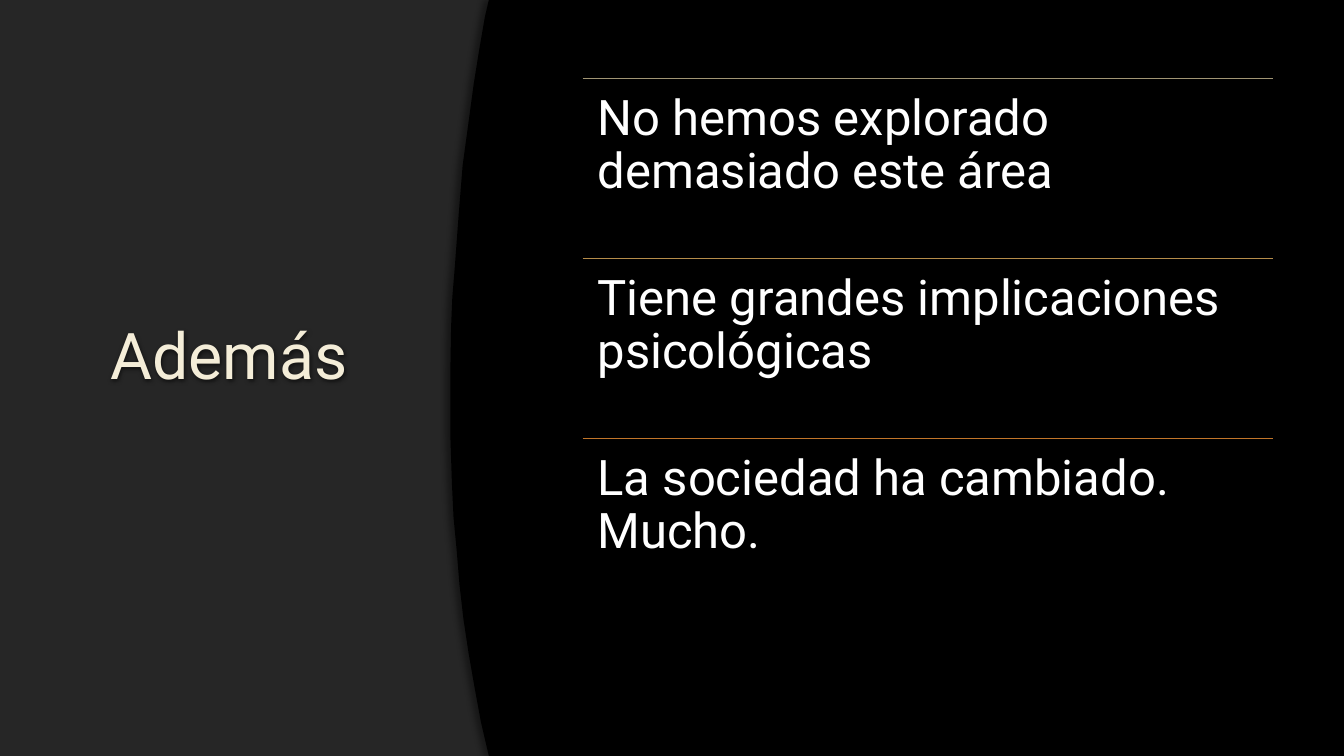
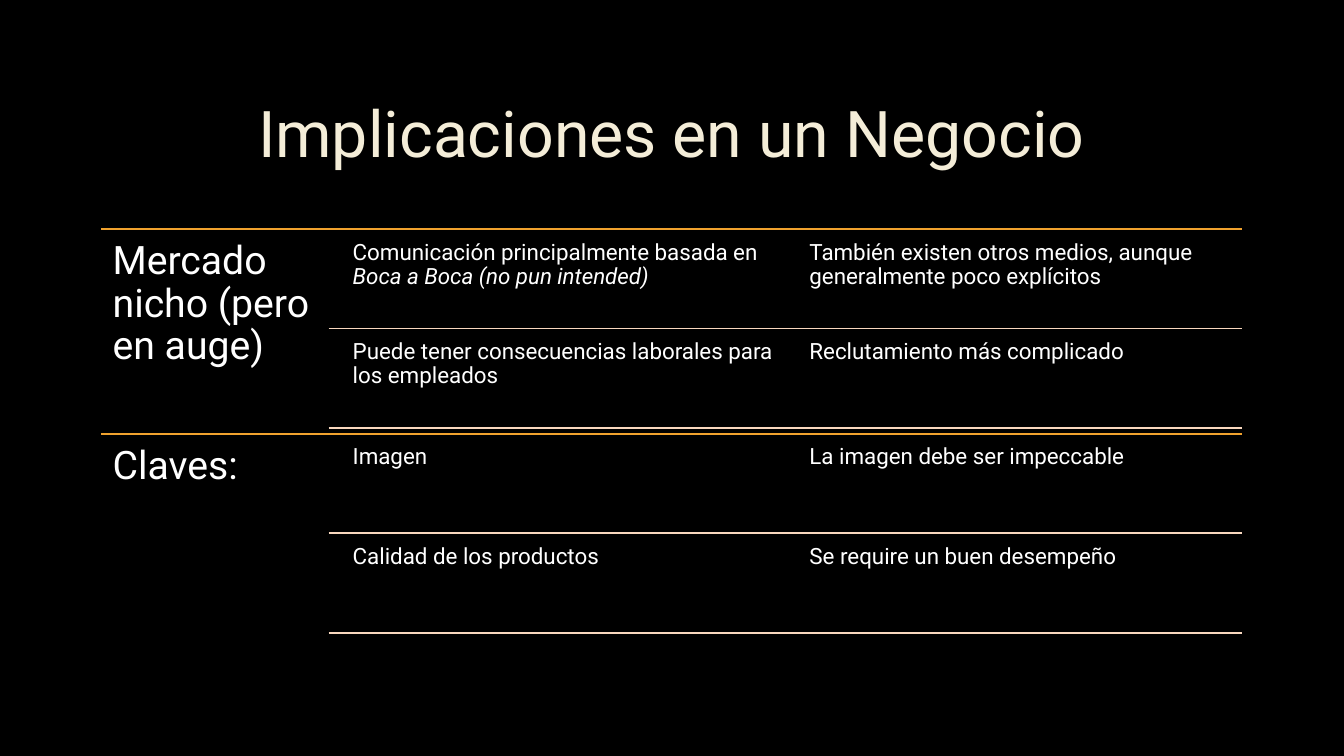
from dataclasses import dataclass

from lxml import etree
from pptx import Presentation, util as u
from pptx.dml.color import RGBColor
from pptx.enum import shapes, text
from pptx.oxml import ns

FONT = "Roboto"
COLORS = {
    "black": "000000",
    "panel": "262626",
    "title": "F4EDD8",
    "white": "FFFFFF",
    "orange": "F0A22E",
    "peach": "F8D7BE",
}
PAGE_WIDTH, PAGE_HEIGHT = 33.87, 19.05
MARGIN = 2.54


@dataclass
class Point:
    text: str
    rule_color: str


@dataclass
class Topic:
    heading: str
    rows: list


POINTS = [
    Point("No hemos explorado demasiado este área", "A19574"),
    Point("Tiene grandes implicaciones psicológicas", "B58C4A"),
    Point("La sociedad ha cambiado. Mucho.", "C17529"),
]

# Text between asterisks is set in italics
TOPICS = [
    Topic("Mercado nicho (pero en auge)", [
        ("Comunicación principalmente basada en *Boca a Boca (no pun intended)*",
         "También existen otros medios, aunque generalmente poco explícitos"),
        ("Puede tener consecuencias laborales para los empleados",
         "Reclutamiento más complicado"),
    ]),
    Topic("Claves:", [
        ("Imagen", "La imagen debe ser impeccable"),
        ("Calidad de los productos", "Se require un buen desempeño"),
    ]),
]

# Curved left edge of the dark area, from top to bottom
CURVE = [
    (12.32, 0), (12.22, 0.43), (12.07, 1.3), (11.94, 2.11), (11.81, 3.07),
    (11.66, 4.17), (11.56, 5.41), (11.46, 6.76), (11.4, 7.49), (11.37, 8.23),
    (11.35, 9.37), (11.35, 10.97), (11.39, 12.19), (11.43, 13.03),
    (11.51, 13.87), (11.58, 14.73), (11.68, 15.6), (11.81, 16.46),
    (11.96, 17.32), (12.12, 18.19), (12.32, PAGE_HEIGHT),
]


# Shared drawing functions
def rgb(value: str) -> RGBColor:
    return RGBColor.from_string(value)


def add_effects(shape):
    """Add an empty effect list, which also removes inherited shadows."""
    return etree.SubElement(shape._element.spPr, ns.qn("a:effectLst"))


def add_shadow(shape, *, blur: float, distance: float, angle: int, alpha: int) -> None:
    shadow = etree.SubElement(
        add_effects(shape), ns.qn("a:outerShdw"),
        blurRad=str(u.Pt(blur)), dist=str(u.Pt(distance)),
        dir=str(angle * 60000), algn="ctr", rotWithShape="0")
    color = etree.SubElement(shadow, ns.qn("a:srgbClr"), val=COLORS["black"])
    etree.SubElement(color, ns.qn("a:alpha"), val=str(alpha * 1000))


def fill_plain(shape, color: str) -> None:
    shape.fill.solid()
    shape.fill.fore_color.rgb = rgb(color)
    shape.line.fill.background()


def add_text(page, content: str, left: float, top: float, width: float, height: float, *,
             size: float, color: str = COLORS["white"], inset: float = 0.25,
             inset_y: float | None = None, align=text.PP_ALIGN.LEFT,
             anchor=text.MSO_ANCHOR.TOP):
    box = page.shapes.add_textbox(u.Cm(left), u.Cm(top), u.Cm(width), u.Cm(height))
    frame = box.text_frame
    frame.word_wrap = True
    frame.vertical_anchor = anchor
    frame.margin_left = frame.margin_right = u.Cm(inset)
    frame.margin_top = frame.margin_bottom = u.Cm(inset if inset_y is None else inset_y)
    para = frame.paragraphs[0]
    para.alignment = align
    para.line_spacing = 0.9
    for index, part in enumerate(content.split("*")):
        if part:
            span = para.add_run()
            span.text = part
            span.font.name = FONT
            span.font.size = u.Pt(size)
            span.font.color.rgb = rgb(color)
            if index % 2:
                span.font.italic = True
    return box


def add_title(page, content: str, width: float, height: float, align) -> None:
    title = add_text(page, content, MARGIN, 1.7, width, height, size=46,
                     color=COLORS["title"], inset_y=0.13, align=align,
                     anchor=text.MSO_ANCHOR.MIDDLE)
    add_shadow(title, blur=3, distance=1, angle=90, alpha=60)


def add_rule(page, left: float, top: float, width: float, color: str, weight: float) -> None:
    rule = page.shapes.add_connector(
        shapes.MSO_CONNECTOR.STRAIGHT,
        u.Cm(left), u.Cm(top), u.Cm(left + width), u.Cm(top))
    rule.line.color.rgb = rgb(color)
    rule.line.width = u.Pt(weight)
    add_effects(rule)


def add_page(deck):
    page = deck.slides.add_slide(deck.slide_layouts[6])
    page.background.fill.solid()
    page.background.fill.fore_color.rgb = rgb(COLORS["black"])
    return page


# Slide 1: title panel and ruled list
def build_points(deck) -> None:
    page = add_page(deck)
    panel = page.shapes.add_shape(
        shapes.MSO_SHAPE.RECTANGLE, 0, 0, u.Cm(PAGE_WIDTH), u.Cm(PAGE_HEIGHT))
    fill_plain(panel, COLORS["panel"])
    panel.shadow.inherit = False
    add_title(page, "Además", 7.77, 14.66, text.PP_ALIGN.LEFT)

    outline = [(u.Cm(x), u.Cm(y)) for x, y in
               CURVE + [(PAGE_WIDTH, PAGE_HEIGHT), (PAGE_WIDTH, 0)]]
    builder = page.shapes.build_freeform(*outline[0])
    builder.add_line_segments(outline[1:], close=True)
    dark_area = builder.convert_to_shape()
    fill_plain(dark_area, COLORS["black"])
    add_shadow(dark_area, blur=4, distance=3, angle=180, alpha=40)

    left, first_top, width, pitch = 14.68, 1.98, 17.4, 4.53
    for index, point in enumerate(POINTS):
        top = first_top + index * pitch
        add_rule(page, left, top, width, point.rule_color, 0.75)
        add_text(page, point.text, left, top, width, pitch, size=35, inset=0.38)


# Slide 2: topics with two columns of ruled rows
def build_topics(deck) -> None:
    page = add_page(deck)
    width = 28.75
    add_title(page, "Implicaciones en un Negocio", width, 3.5, text.PP_ALIGN.CENTER)

    first_top, topic_pitch, heading_width = 5.77, 5.16, 5.74
    gap, row_height = 0.12, 2.39
    cell_lefts, cell_width = (8.71, 20.22), 11.07
    for topic_index, topic in enumerate(TOPICS):
        top = first_top + topic_index * topic_pitch
        add_rule(page, MARGIN, top, width, COLORS["orange"], 1.25)
        add_text(page, topic.heading, MARGIN, top, heading_width, topic_pitch,
                 size=28, inset=0.3)
        for row_index, row in enumerate(topic.rows):
            row_top = top + gap + row_index * (row_height + gap)
            for cell_left, content in zip(cell_lefts, row):
                add_text(page, content, cell_left, row_top, cell_width, row_height,
                         size=16, inset=0.18)
            add_rule(page, MARGIN + heading_width, row_top + row_height,
                     width - heading_width, COLORS["peach"], 1.25)


def main() -> None:
    deck = Presentation()
    deck.slide_width, deck.slide_height = u.Cm(PAGE_WIDTH), u.Cm(PAGE_HEIGHT)
    build_points(deck)
    build_topics(deck)
    deck.save("out.pptx")


if __name__ == "__main__":
    main()
